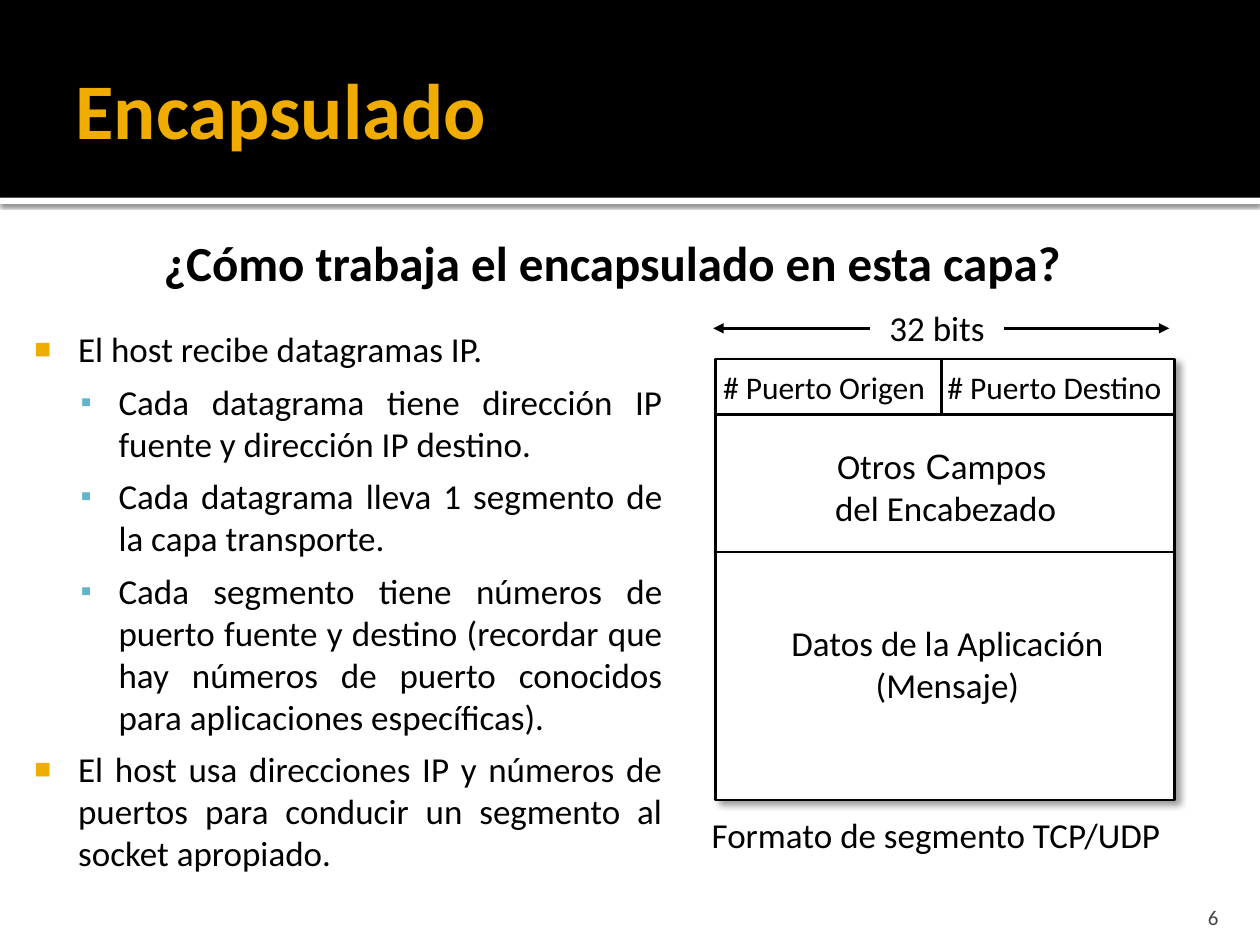
from lxml.etree import SubElement
from pptx import Presentation
from pptx.dml.color import RGBColor
from pptx.enum.shapes import MSO_CONNECTOR as Connector, MSO_SHAPE as Preset
from pptx.enum.text import MSO_ANCHOR as Anchor, MSO_AUTO_SIZE as AutoSize, PP_ALIGN as Align
from pptx.oxml.ns import qn
from pptx.util import Pt

BLACK = RGBColor(0x00, 0x00, 0x00)
WHITE = RGBColor(0xFF, 0xFF, 0xFF)
GOLD = RGBColor(0xF0, 0xAD, 0x00)
TEAL = RGBColor(0x60, 0xB5, 0xCC)
GREY = RGBColor(0x45, 0x45, 0x45)

# Per level: bullet, its colour, its size in percent, left margin, first-line indent
BULLETS = [("■", GOLD, 80, 34.5, -25), ("▪", TEAL, 90, 57.6, -21.6)]
POINTS = [
    (0, "El host recibe datagramas IP."),
    (1, "Cada datagrama tiene dirección IP fuente y dirección IP destino."),
    (1, "Cada datagrama lleva 1 segmento de la capa transporte."),
    (1, "Cada segmento tiene números de puerto fuente y destino (recordar que hay "
        "números de puerto conocidos para aplicaciones específicas)."),
    (0, "El host usa direcciones IP y números de puertos para conducir un segmento "
        "al socket apropiado."),
]


def place(part, left, top, width, height):
    part.left, part.top, part.width, part.height = map(Pt, (left, top, width, height))


def set_insets(frame, left, top, right, bottom):
    frame.margin_left, frame.margin_top = Pt(left), Pt(top)
    frame.margin_right, frame.margin_bottom = Pt(right), Pt(bottom)


def add_run(paragraph, text, size, color=BLACK, bold=False, font="Calibri"):
    run = paragraph.add_run()
    run.text = text
    run.font.name, run.font.size, run.font.bold = font, Pt(size), bold
    run.font.color.rgb = color


def add_label(slide, box, lines, size, align=Align.LEFT, wrap=False, bold=False):
    """Each line is a list of (text, font) runs, or a plain string in Calibri."""
    frame = slide.shapes.add_textbox(*map(Pt, box)).text_frame
    frame.word_wrap = wrap
    frame.auto_size = AutoSize.SHAPE_TO_FIT_TEXT
    paragraph = frame.paragraphs[0]
    paragraph.alignment = align
    for number, line in enumerate(lines):
        if number:
            paragraph.add_line_break()
        runs = [(line, "Calibri")] if isinstance(line, str) else line
        for text, font in runs:
            add_run(paragraph, text, size, bold=bold, font=font)


def add_rect(slide, box, fill, line_width=0, shadow=None):
    """shadow is (opacity in percent, blur, distance, direction in degrees)."""
    rect = slide.shapes.add_shape(Preset.RECTANGLE, *map(Pt, box))
    rect.fill.solid()
    rect.fill.fore_color.rgb = fill
    if line_width:
        rect.line.color.rgb = BLACK
        rect.line.width = Pt(line_width)
    else:
        rect.line.fill.background()
    rect.shadow.inherit = False
    if shadow:
        opacity, blur, distance, direction = shadow
        effects = rect.element.spPr.find(qn("a:effectLst"))
        outer = SubElement(effects, qn("a:outerShdw"), blurRad=str(Pt(blur)),
                           dist=str(Pt(distance)), dir=str(direction * 60000),
                           algn="tl", rotWithShape="0")
        color = SubElement(outer, qn("a:srgbClr"), val=str(BLACK))
        SubElement(color, qn("a:alpha"), val=str(opacity * 1000))
    return rect


def add_line(slide, x1, y1, x2, y2, arrow=False):
    line = slide.shapes.add_connector(Connector.STRAIGHT, *map(Pt, (x1, y1, x2, y2)))
    line.line.color.rgb = BLACK
    line.line.width = Pt(1.5)
    if arrow:
        SubElement(line.line._get_or_add_ln(), qn("a:tailEnd"), type="triangle")
    SubElement(line.element.spPr, qn("a:effectLst"))


def add_header(slide, left, top, width, height):
    title = slide.shapes.title
    rule = add_rect(slide, (left, top + height, width, 3.6), WHITE, shadow=(60, 2.5, 0.8, 90))
    band = add_rect(slide, (left, top, width, height), BLACK)
    for backdrop in (rule, band):
        title.element.addprevious(backdrop.element)
    place(title, left + 36, top + 12.2, width - 72, 98.6)
    frame = title.text_frame
    frame.auto_size, frame.word_wrap = AutoSize.NONE, True
    frame.vertical_anchor = Anchor.MIDDLE
    set_insets(frame, 7.2, 3.6, 3.6, 3.6)
    paragraph = frame.paragraphs[0]
    paragraph.alignment = Align.LEFT
    add_run(paragraph, "Encapsulado", 45, GOLD, bold=True)


def set_bullet(paragraph, level):
    mark, color, percent, margin, indent = BULLETS[level]
    props = paragraph._p.get_or_add_pPr()
    props.set("marL", str(Pt(margin)))
    props.set("indent", str(Pt(indent)))
    SubElement(SubElement(props, qn("a:buClr")), qn("a:srgbClr"), val=str(color))
    SubElement(props, qn("a:buSzPct"), val=str(percent * 1000))
    SubElement(props, qn("a:buFont"), typeface="Arial")
    SubElement(props, qn("a:buChar"), char=mark)


def add_points(slide, left, top, width, height):
    body = slide.placeholders[1]
    place(body, left, top, width, height)
    frame = body.text_frame
    frame.auto_size, frame.word_wrap = AutoSize.NONE, True
    frame.vertical_anchor = Anchor.TOP
    set_insets(frame, 4.3, 7.2, 7.2, 3.6)
    for number, (level, text) in enumerate(POINTS):
        paragraph = frame.add_paragraph() if number else frame.paragraphs[0]
        paragraph.level = level
        paragraph.alignment = Align.JUSTIFY
        paragraph.space_before = Pt(6)
        set_bullet(paragraph, level)
        add_run(paragraph, text, 20)


def add_segment_format(slide, left, top, width, height):
    """The box is the segment frame; the width arrows go above, the caption below."""
    right, ports_bottom, header_bottom = left + width, top + 31.7, top + 110.2
    ports_split = left + 128.9
    add_rect(slide, (left, top, width, height), WHITE, 1.5, shadow=(40, 4, 3, 45))
    add_label(slide, (left - 2.9, top + 1.4, 136, 29), ["# Puerto Origen"], 18)
    add_label(slide, (left + 125.3, top + 1.4, 157.7, 29), ["# Puerto Destino"], 18, wrap=True)
    for y in (ports_bottom, header_bottom):
        add_line(slide, left, y, right, y)
    add_line(slide, ports_split, ports_bottom, ports_split, top)

    add_label(slide, (left + 92.2, top - 33.8, 69.8, 31.7), ["32 bits"], 20)
    arrow_y = top - 17.6
    add_line(slide, left + 165, arrow_y, right - 2.9, arrow_y, arrow=True)
    add_line(slide, left + 88, arrow_y, left - 1.4, arrow_y, arrow=True)

    add_label(slide, (left + 33.8, top + 146.2, 197.3, 55.4),
              ["Datos de la Aplicación", "(Mensaje)"], 20, Align.CENTER)
    other_fields = [("Otros", "Calibri"), (" C", "Arial"), ("ampos ", "Calibri")]
    add_label(slide, (left + 59, top + 45.4, 144.7, 55.4),
              [other_fields, "del Encabezado"], 20, Align.CENTER)
    add_label(slide, (left - 9.4, top + height + 4.3, 280.8, 31.7),
              ["Formato de segmento TCP/UDP"], 20)


def add_page_number(slide, left, top, width, height):
    frame = slide.shapes.add_textbox(*map(Pt, (left, top, width, height))).text_frame
    frame.word_wrap = True
    frame.vertical_anchor = Anchor.BOTTOM
    set_insets(frame, 7.2, 3.6, 7.2, 0)
    frame.paragraphs[0].alignment = Align.RIGHT
    add_run(frame.paragraphs[0], "6", 12, GREY)


def main():
    deck = Presentation()
    deck.slide_width, deck.slide_height = Pt(720), Pt(540)
    slide = deck.slides.add_slide(deck.slide_layouts[1])
    add_header(slide, 0, 0, 720, 113)
    add_points(slide, 5.8, 180, 380, 316)
    add_page_number(slide, 645.8, 509.8, 57.6, 21.6)
    add_label(slide, (86.4, 129.6, 547.2, 41), ["¿Cómo trabaja el encapsulado en esta capa?"],
              28, bold=True)
    add_segment_format(slide, 409, 205.2, 262, 252)
    deck.save("out.pptx")


if __name__ == "__main__":
    main()
